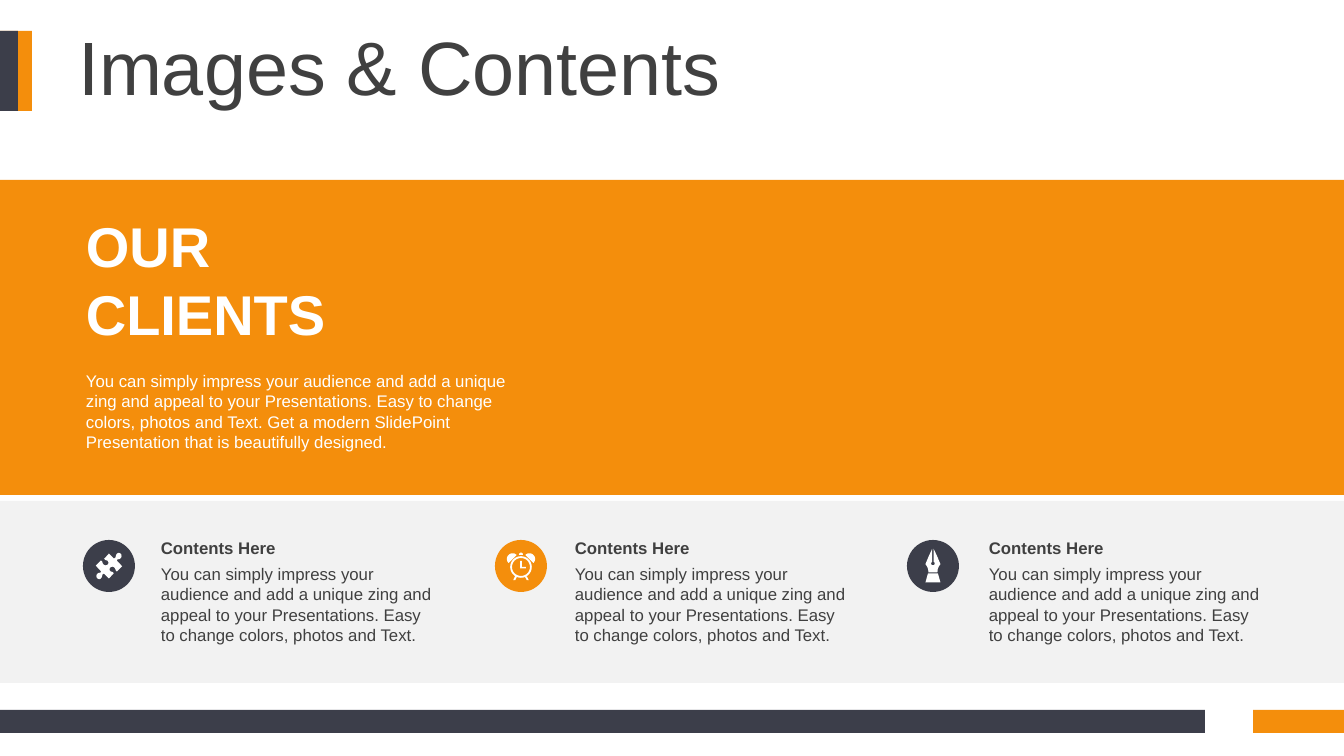
import math

import pptx
import pptx.dml.color
import pptx.enum.shapes
import pptx.enum.text
import pptx.util

PX = 914400 / 100.8
FONT = "Arial"
ORANGE, NAVY, GREY, TEXT, WHITE = "F48E0C", "3C3E4A", "F2F2F2", "404040", "FFFFFF"
BLURB = ("You can simply impress your audience and add a unique zing and appeal "
         "to your Presentations. Easy to change colors, photos and Text.")
INTRO = BLURB + " Get a modern SlidePoint Presentation that is beautifully designed."


def px(length):
    return pptx.util.Emu(round(length * PX))


def color(value):
    return pptx.dml.color.RGBColor.from_string(value)


def paint(shape, fill):
    shape.shadow.inherit = False
    shape.fill.solid()
    shape.fill.fore_color.rgb = color(fill)
    shape.line.fill.background()


def add_block(slide, box, fill, kind=pptx.enum.shapes.MSO_SHAPE.RECTANGLE):
    paint(slide.shapes.add_shape(kind, *map(px, box)), fill)


def style(paragraph, size, text_color, bold=False):
    paragraph.font.name = FONT
    paragraph.font.size = pptx.util.Pt(size)
    paragraph.font.bold = bold
    paragraph.font.color.rgb = color(text_color)


def add_text(slide, box, lines, size, text_color, bold=False):
    frame = slide.shapes.add_textbox(*map(px, box)).text_frame
    frame.word_wrap = True
    frame.text = "\n".join(lines)
    for paragraph in frame.paragraphs:
        style(paragraph, size, text_color, bold)


def arc(center_x, center_y, radius, start=0, end=360):
    """Points along an arc, angles in degrees, clockwise from the right."""
    angles = [math.radians(start + (end - start) * step / 32) for step in range(33)]
    return [(center_x + radius * math.cos(angle), center_y + radius * math.sin(angle))
            for angle in angles]


def mirror(points):
    return [(-x, y) for x, y in points]


# Icon outlines are in tenths of a px, measured from the badge centre.
def puzzle_outlines():
    half = [(50, -75), (65, -85), (72, -112), (82, -126), (97, -132), (112, -127),
            (124, -114), (126, -98), (120, -80), (106, -70), (85, -66), (78, -55),
            (132, 3), (80, 55), (68, 45), (62, 25), (50, 12), (33, 6), (16, 12),
            (7, 25), (7, 42), (16, 54), (37, 60), (48, 72), (0, 125)]
    return [half + [(-x, -y) for x, y in half]]


def clock_outlines():
    hands = [(-8, -50), (8, -50), (8, 8), (50, 8), (50, 24), (-8, 24)]
    button = [(-20, -112), (-18, -124), (-8, -133), (8, -133), (18, -124), (20, -112)]
    bell = arc(-84, -70, 57, 135, 315)
    leg = [(-60, 105), (-42, 112), (-58, 142), (-78, 142)]
    return [arc(0, 10, 108), arc(0, 10, 90), hands, button,
            bell, mirror(bell), leg, mirror(leg)]


def nib_outlines():
    base = [(-50, 75), (50, 75), (75, 165), (-75, 165)]
    side = [(8, -170), (40, -102), (75, -18), (58, 6), (48, 32), (45, 65)]
    eye = arc(0, -25, 18, 64, -64)
    right = side[::-1][:-1] + [(8, -170)] + eye[::-1]
    return [base, right + mirror(right)[::-1]]


def add_icon(slide, center_x, center_y, outlines):
    builder = slide.shapes.build_freeform(*outlines[0][0], scale=PX / 10)
    for index, outline in enumerate(outlines):
        if index:
            builder.move_to(*outline[0])
        builder.add_line_segments(outline[1:], close=True)
    paint(builder.convert_to_shape(px(center_x), px(center_y)), WHITE)


def add_header(slide, left, top, width, height):
    add_block(slide, (left, top, 32, height), ORANGE)
    add_block(slide, (left, top, 18, height), NAVY)
    title = slide.shapes.title
    title.left, title.top = px(left + 68), px(top)
    title.width, title.height = px(width - 100), px(height)
    frame = title.text_frame
    frame.text = "Images & Contents"
    frame.auto_size = pptx.enum.text.MSO_AUTO_SIZE.NONE
    frame.vertical_anchor = pptx.enum.text.MSO_ANCHOR.MIDDLE
    paragraph = frame.paragraphs[0]
    paragraph.alignment = pptx.enum.text.PP_ALIGN.LEFT
    paragraph.line_spacing = 0.9
    style(paragraph, 54, TEXT)


def add_clients(slide, left, top, width, height):
    add_block(slide, (left, top, width, height), ORANGE)
    add_text(slide, (left + 76, top + 27, 346, 146), ["OUR", "CLIENTS"], 40, WHITE, True)
    add_text(slide, (left + 76, top + 186, 470, 92), [INTRO], 12, WHITE)


def add_contents(slide, left, top, width, height):
    add_block(slide, (left, top, width, height), GREY)
    badges = [(NAVY, puzzle_outlines()), (ORANGE, clock_outlines()), (NAVY, nib_outlines())]
    for column, (fill, outlines) in enumerate(badges):
        badge_left, badge_top = left + 83 + 412 * column, top + 39
        text_left = left + 151 + 414 * column
        add_block(slide, (badge_left, badge_top, 52, 52), fill,
                  pptx.enum.shapes.MSO_SHAPE.OVAL)
        add_icon(slide, badge_left + 26, badge_top + 26, outlines)
        add_text(slide, (text_left, top + 32, 295, 30), ["Contents Here"], 12, TEXT, True)
        add_text(slide, (text_left, top + 58, 295, 92), [BLURB], 12, TEXT)


def add_footer(slide, left, top, width, height):
    add_block(slide, (left, top, width - 139, height), NAVY)
    add_block(slide, (left + width - 91, top, 91, height), ORANGE)


def main():
    presentation = pptx.Presentation()
    presentation.slide_width, presentation.slide_height = px(1344), px(756)
    slide = presentation.slides.add_slide(presentation.slide_layouts[5])
    add_header(slide, 0, 31, 1344, 80)
    add_clients(slide, 0, 180, 1344, 315)
    add_contents(slide, 0, 501, 1344, 182)
    add_footer(slide, 0, 710, 1344, 23)
    presentation.save("out.pptx")


if __name__ == "__main__":
    main()
